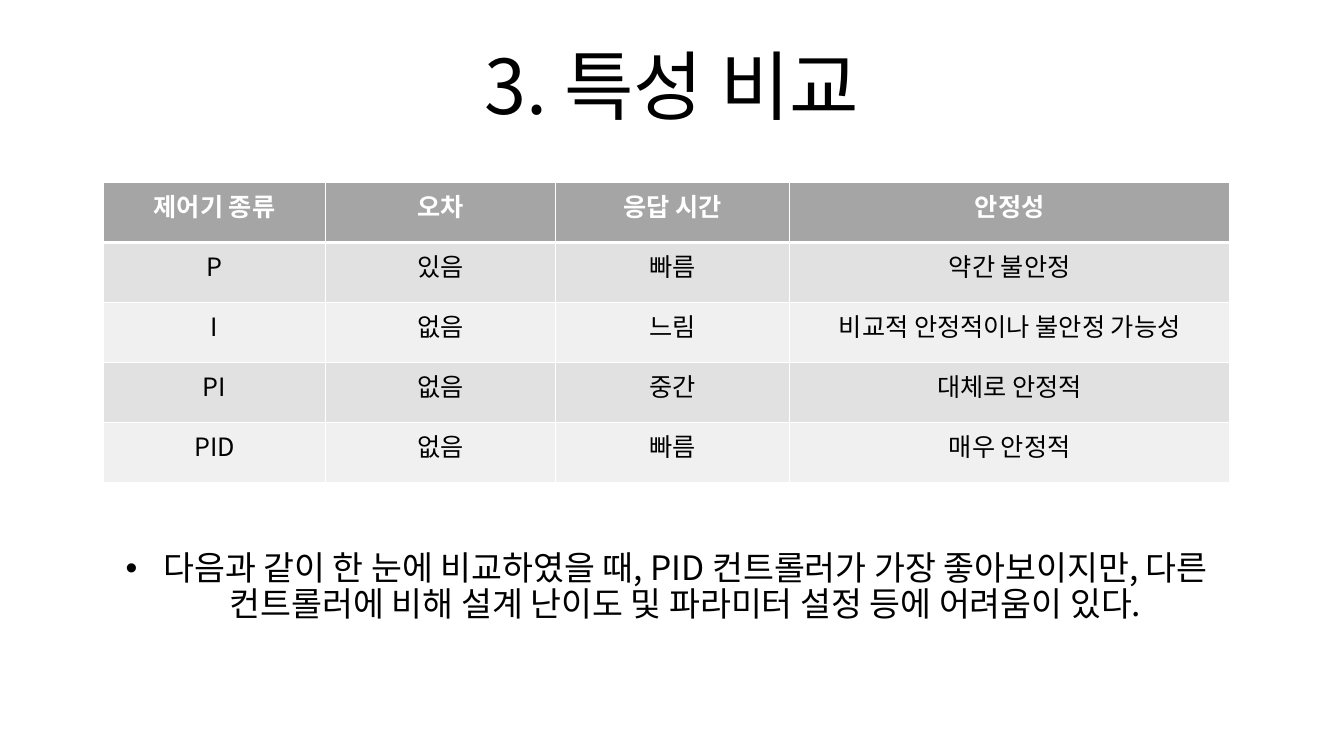
import pptx
import pptx.util
import pptx.dml.color
import pptx.enum.text
import pptx.oxml
import pptx.oxml.ns
from pptx.util import Cm, Pt

FONT = "Noto Sans CJK KR"
BLACK, WHITE, GRAY = "000000", "FFFFFF", "A5A5A5"
BANDS = ("E1E1E1", "F0F0F0")
CENTER = pptx.enum.text.PP_ALIGN.CENTER
ROWS = (
    ("제어기 종류", "오차", "응답 시간", "안정성"),
    ("P", "있음", "빠름", "약간 불안정"),
    ("I", "없음", "느림", "비교적 안정적이나 불안정 가능성"),
    ("PI", "없음", "중간", "대체로 안정적"),
    ("PID", "없음", "빠름", "매우 안정적"),
)
WIDTHS = (5.61, 5.79, 5.89, 11.11)
NOTE = ("다음과 같이 한 눈에 비교하였을 때, PID 컨트롤러가 가장 좋아보이지만, "
        "다른 컨트롤러에 비해 설계 난이도 및 파라미터 설정 등에 어려움이 있다.")


def color(value):
    return pptx.dml.color.RGBColor.from_string(value)


def add_xml(parent, text):
    head, tail = text.split(" ", 1)
    space = pptx.oxml.ns.nsdecls("a")
    parent.append(pptx.oxml.parse_xml(f"{head} {space} {tail}"))


def write(frame, text, size, tint=BLACK, bold=False):
    """Fill the frame with one centred paragraph and return it."""
    frame.text = text
    para = frame.paragraphs[0]
    para.alignment = CENTER
    for run in para.runs:
        font = run.font
        font.name, font.size, font.bold = FONT, Pt(size), bold
        font.color.rgb = color(tint)
        add_xml(font._element, f'<a:ea typeface="{FONT}"/>')
    return para


def place(shape, left, top, width, height):
    shape.left, shape.top = Cm(left), Cm(top)
    shape.width, shape.height = Cm(width), Cm(height)
    shape.text_frame.auto_size = pptx.enum.text.MSO_AUTO_SIZE.NONE


def set_title(shape, *box):
    place(shape, *box)
    shape.text_frame.vertical_anchor = pptx.enum.text.MSO_ANCHOR.BOTTOM
    para = write(shape.text_frame, "3. 특성 비교", 54)
    para.line_spacing = 0.9


def set_note(shape, *box):
    place(shape, *box)
    para = write(shape.text_frame, NOTE, 24)
    para.line_spacing = 0.9
    para.space_before = Pt(10)
    props = para._p.get_or_add_pPr()
    props.set("marL", str(Cm(0.95)))
    props.set("indent", str(-Cm(0.95)))
    add_xml(props, '<a:buFont typeface="Arial"/>')
    add_xml(props, '<a:buChar char="•"/>')


def add_edges(cell, top, bottom):
    """Draw white borders, with the top and bottom widths in points."""
    props = cell._tc.get_or_add_tcPr()
    for side, width in (("L", 1), ("R", 1), ("T", top), ("B", bottom)):
        add_xml(props, f'<a:ln{side} w="{Pt(width)}"><a:solidFill>'
                       f'<a:srgbClr val="{WHITE}"/></a:solidFill></a:ln{side}>'
                .replace(" w=", " w=", 1))


def add_grid(slide, left, top, width, height):
    table = slide.shapes.add_table(
        len(ROWS), len(WIDTHS), Cm(left), Cm(top), Cm(width), Cm(height)).table
    for column, size in zip(table.columns, WIDTHS):
        column.width = Cm(width * size / sum(WIDTHS))
    for r, texts in enumerate(ROWS):
        head = r == 0
        for c, text in enumerate(texts):
            cell = table.cell(r, c)
            write(cell.text_frame, text, 18, WHITE if head else BLACK, head)
            add_edges(cell, 3 if r == 1 else 1, 3 if head else 1)
            cell.fill.solid()
            cell.fill.fore_color.rgb = color(GRAY if head else BANDS[(r - 1) % 2])


def main():
    deck = pptx.Presentation()
    deck.slide_width, deck.slide_height = Cm(33.87), Cm(19.05)
    slide = deck.slides.add_slide(deck.slide_layouts[0])
    set_title(slide.shapes.title, 4.23, 1.5, 25.4, 1.93)
    set_note(slide.placeholders[1], 2.6, 13.77, 28.4, 3.25)
    add_grid(slide, 2.6, 4.6, 28.4, 7.55)
    deck.save("out.pptx")


if __name__ == "__main__":
    main()
